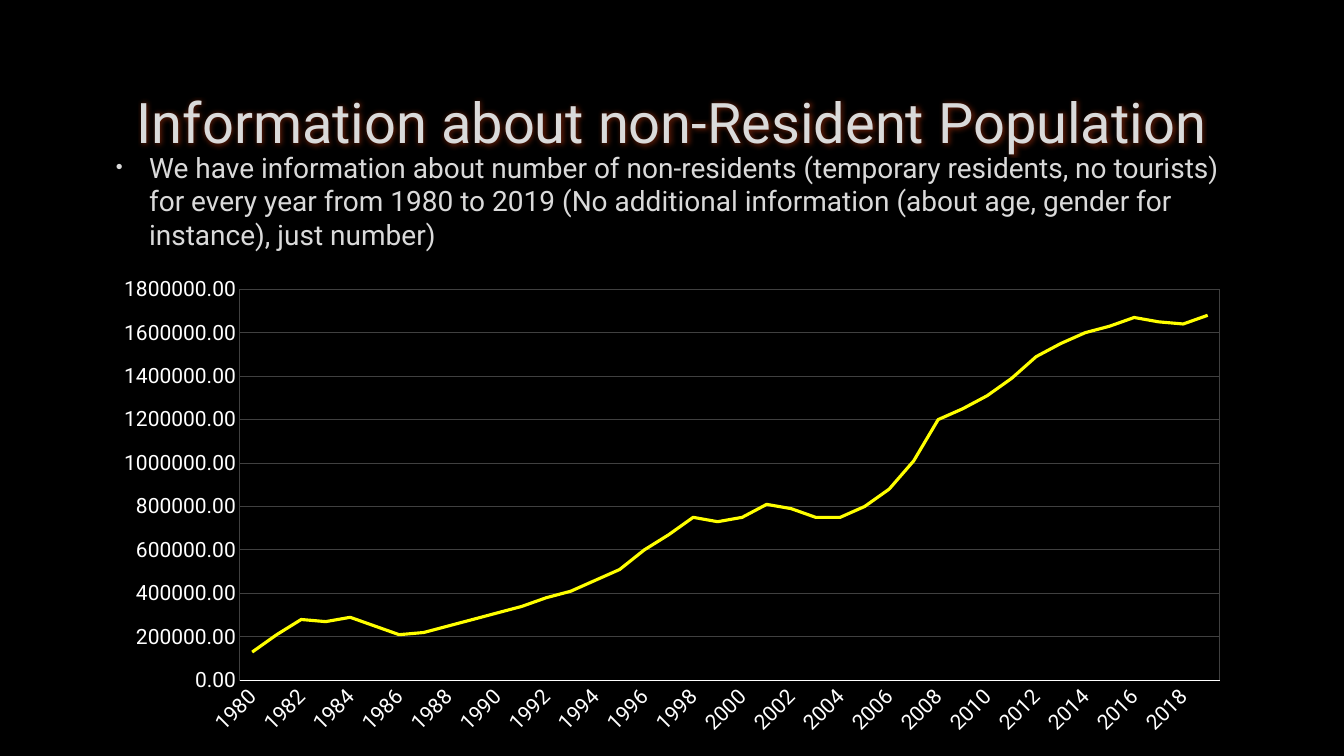
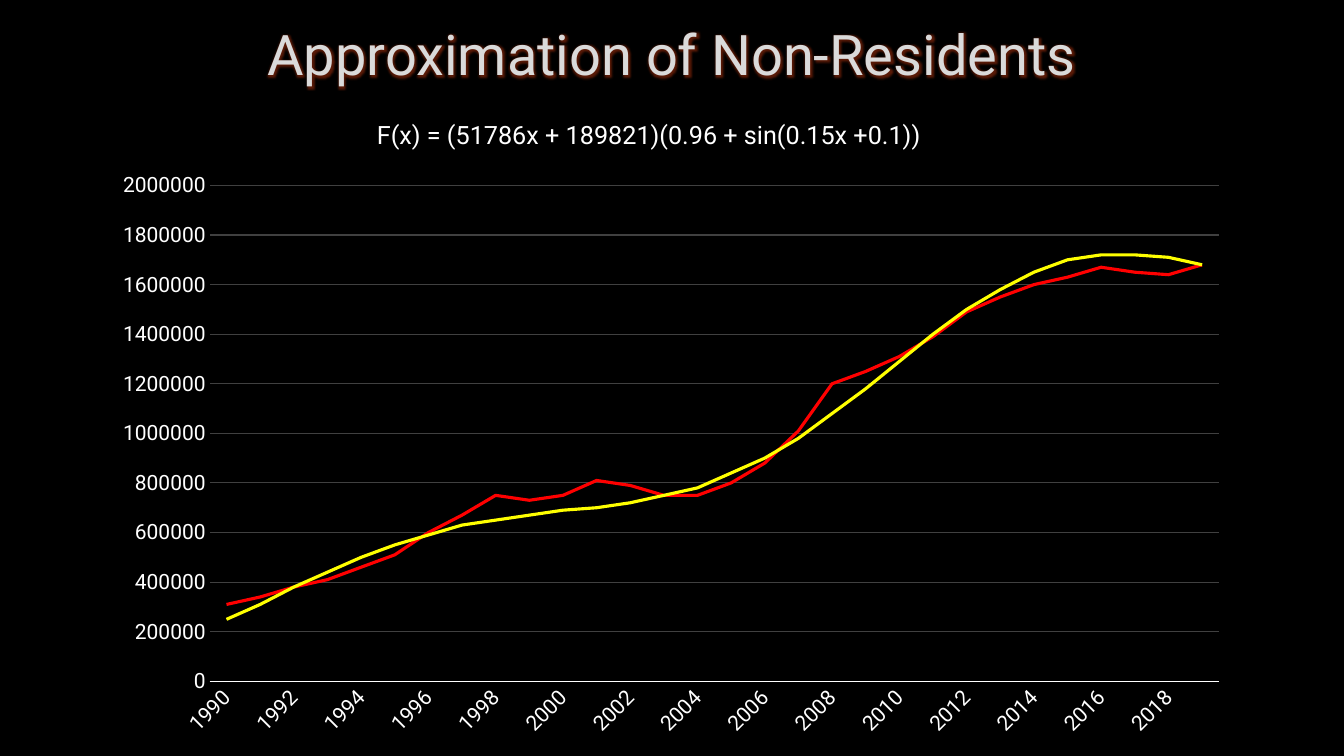
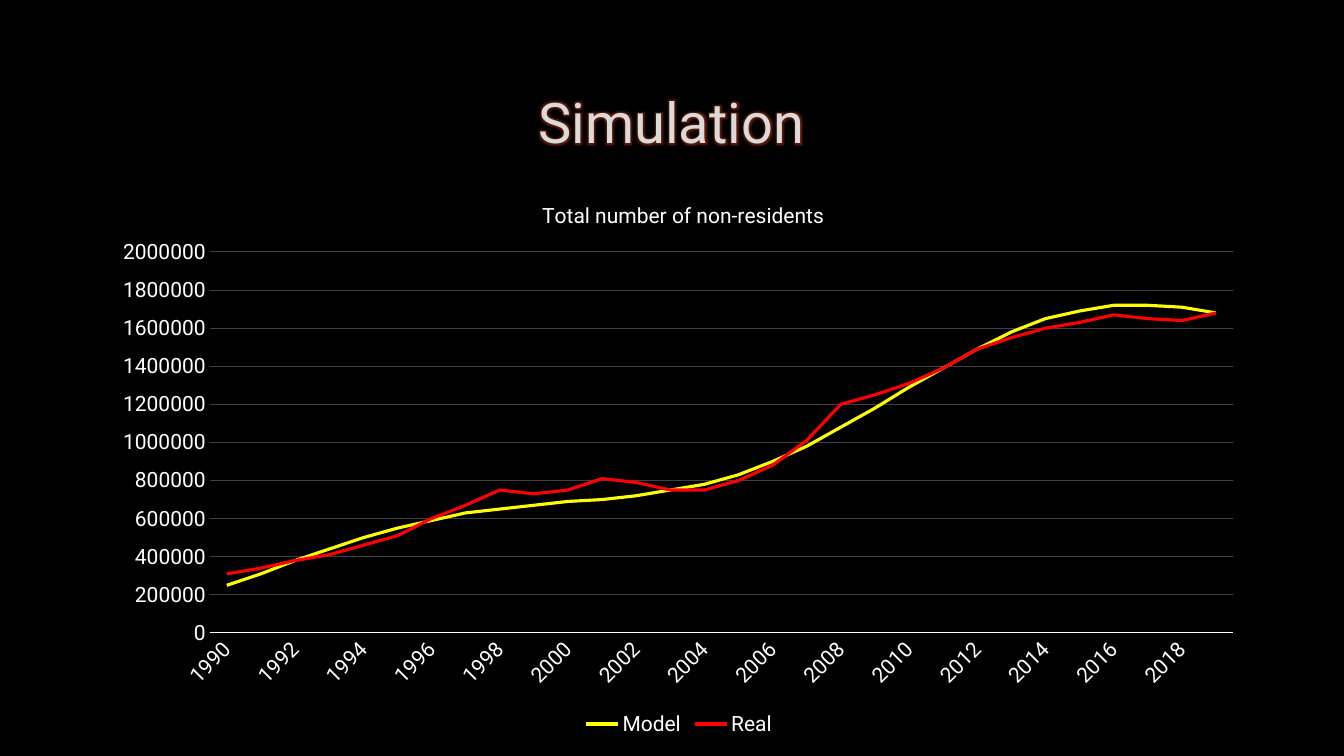
from lxml import etree
from pptx import Presentation
from pptx.chart.data import CategoryChartData
from pptx.dml.color import RGBColor
from pptx.enum.chart import XL_CHART_TYPE as ChartType
from pptx.enum.chart import XL_LEGEND_POSITION as LegendPos
from pptx.enum.chart import XL_TICK_MARK as TickMark
from pptx.enum.text import MSO_ANCHOR as Anchor
from pptx.enum.text import PP_ALIGN as Align
from pptx.oxml import parse_xml
from pptx.oxml.ns import nsdecls, qn
from pptx.util import Inches, Pt

FONT = "Roboto"
BLACK, WHITE, TEXT, GRID = "000000", "FFFFFF", "DADADA", "404040"
GLOW, YELLOW, RED = "E04010", "FFFF00", "FF0000"
LEFT, WIDTH = 1, 11.32

# Non-residents in thousands, 1980 to 2019
REAL = [130, 210, 280, 270, 290, 250, 210, 220, 250, 280,
        310, 340, 380, 410, 460, 510, 600, 670, 750, 730,
        750, 810, 790, 750, 750, 800, 880, 1010, 1200, 1250,
        1310, 1390, 1490, 1550, 1600, 1630, 1670, 1650, 1640, 1680]
# Fitted and simulated values in thousands, 1990 to 2019
FITTED = [250, 310, 380, 440, 500, 550, 590, 630, 650, 670,
          690, 700, 720, 750, 780, 840, 900, 980, 1080, 1180,
          1290, 1400, 1500, 1580, 1650, 1700, 1720, 1720, 1710, 1680]
SIMULATED = [250, 310, 380, 440, 500, 550, 590, 630, 650, 670,
             690, 700, 720, 750, 780, 830, 900, 980, 1080, 1180,
             1290, 1390, 1490, 1580, 1650, 1690, 1720, 1720, 1710, 1680]
RECENT = REAL[10:]


def rgb(value):
    return RGBColor.from_string(value)


def style_font(font, size, color):
    font.size, font.name = Pt(size), FONT
    font.color.rgb = rgb(color)


def manual_layout(frame, place, inner=False):
    """Place a chart part, given in slide inches, as fractions of the chart."""
    left, top, width, height = frame
    parts = {"xMode": "edge", "yMode": "edge",
             "x": (place[0] - left) / width, "y": (place[1] - top) / height}
    if inner:
        parts = {"layoutTarget": "inner", **parts,
                 "w": place[2] / width, "h": place[3] / height}
    layout = etree.Element(qn("c:layout"))
    manual = etree.SubElement(layout, qn("c:manualLayout"))
    for tag, value in parts.items():
        text = value if isinstance(value, str) else f"{value:.4f}"
        etree.SubElement(manual, qn(f"c:{tag}")).set("val", text)
    return layout


class Deck:
    def __init__(self):
        self.prs = Presentation()
        self.prs.slide_width, self.prs.slide_height = Inches(13.33), Inches(7.5)
        background = self.prs.slide_master.background.fill
        background.solid()
        background.fore_color.rgb = rgb(BLACK)
        self.slide = None

    def new_slide(self, heading, top=0.67):
        self.slide = self.prs.slides.add_slide(self.prs.slide_layouts[5])
        title = self.slide.shapes.title
        title.left, title.top = Inches(LEFT), Inches(top)
        title.width, title.height = Inches(WIDTH), Inches(1.06)
        title.text_frame.text = heading
        title.text_frame.vertical_anchor = Anchor.MIDDLE
        paragraph = title.text_frame.paragraphs[0]
        paragraph.alignment = Align.CENTER
        run = paragraph.runs[0]
        style_font(run.font, 40, TEXT)
        # Glow follows the fill in the run properties
        run.font.fill._xPr.find(qn("a:solidFill")).addnext(parse_xml(
            f'<a:effectLst {nsdecls("a")}><a:glow rad="63500"><a:srgbClr val="{GLOW}">'
            '<a:alpha val="40000"/></a:srgbClr></a:glow></a:effectLst>'))

    def text(self, words, left, top, width, height, size, color):
        box = self.slide.shapes.add_textbox(
            Inches(left), Inches(top), Inches(width), Inches(height))
        box.text_frame.word_wrap = True
        paragraph = box.text_frame.paragraphs[0]
        paragraph.text = words
        style_font(paragraph.runs[0].font, size, color)
        return paragraph

    def bullet(self, words, *place):
        paragraph = self.text(words, *place, 20, TEXT)
        paragraph.space_after = Pt(6)
        props = paragraph._p.get_or_add_pPr()
        props.set("marL", str(Inches(0.38)))
        props.set("indent", str(Inches(-0.33)))
        etree.SubElement(props, qn("a:buSzPct")).set("val", "70000")
        etree.SubElement(props, qn("a:buFont")).set("typeface", "Arial")
        etree.SubElement(props, qn("a:buChar")).set("char", "•")

    def line_chart(self, frame, plot, first_year, series, top_value,
                   number_format="General"):
        data = CategoryChartData(number_format=number_format)
        count = len(series[0][1])
        data.categories = [str(first_year + i) for i in range(count)]
        for name, thousands, _ in series:
            data.add_series(name, [value * 1000 for value in thousands])
        chart = self.slide.shapes.add_chart(
            ChartType.LINE, *map(Inches, frame), data).chart
        style_font(chart.font, 10, WHITE)
        chart.has_title = chart.has_legend = False

        for line, (_, _, color) in zip(chart.plots[0].series, series):
            line.smooth = False
            line.format.line.width = Pt(2.25)
            line.format.line.color.rgb = rgb(color)
        chart.plots[0].vary_by_categories = False

        # Axes
        years, amounts = chart.category_axis, chart.value_axis
        for axis in (years, amounts):
            axis.major_tick_mark = axis.minor_tick_mark = TickMark.NONE
            style_font(axis.tick_labels.font, 15, WHITE)
        years.format.line.color.rgb = rgb(WHITE)
        years.format.line.width = Pt(0.75)
        axis_xml = years._element
        axis_xml.find(qn("c:txPr")).find(qn("a:bodyPr")).set("rot", "-2700000")
        skip = etree.Element(qn("c:tickLblSkip"))
        skip.set("val", "2")
        axis_xml.find(qn("c:noMultiLvlLbl")).addprevious(skip)
        amounts.minimum_scale, amounts.maximum_scale = 0, top_value
        amounts.major_unit = 200000
        amounts.format.line.fill.background()
        amounts.has_major_gridlines = True
        amounts.major_gridlines.format.line.color.rgb = rgb(GRID)
        amounts.major_gridlines.format.line.width = Pt(0.75)
        amounts.tick_labels.number_format = number_format
        amounts.tick_labels.number_format_is_linked = False

        # Plot area
        area = chart._chartSpace.chart.plotArea
        for old in area.findall(qn("c:layout")):
            area.remove(old)
        area.insert(0, manual_layout(frame, plot, inner=True))
        return chart

    def plot_border(self, chart):
        chart._chartSpace.chart.plotArea.append(parse_xml(
            f'<c:spPr {nsdecls("c", "a")}><a:noFill/><a:ln w="9525"><a:solidFill>'
            f'<a:srgbClr val="{GRID}"/></a:solidFill></a:ln></c:spPr>'))

    def chart_title(self, chart, words, frame, place):
        chart.has_title = True
        title = chart.chart_title
        title.include_in_layout = False
        title.text_frame.text = words
        run = title.text_frame.paragraphs[0].runs[0]
        style_font(run.font, 15, WHITE)
        run.font.bold = False
        title_xml = title._element
        for old in title_xml.findall(qn("c:layout")):
            title_xml.remove(old)
        title_xml.find(qn("c:tx")).addnext(manual_layout(frame, place))

    def legend(self, chart):
        chart.has_legend = True
        chart.legend.position = LegendPos.BOTTOM
        chart.legend.include_in_layout = False
        style_font(chart.legend.font, 15, WHITE)


def main():
    deck = Deck()

    # Observed population
    deck.new_slide("Information about non-Resident Population")
    deck.bullet("We have information about number of non-residents (temporary "
                "residents, no tourists) for every year from 1980 to 2019 (No "
                "additional information (about age, gender for instance), just number)",
                LEFT, 1.44, WIDTH, 1.15)
    observed = deck.line_chart(
        (LEFT, 2.65, WIDTH, 4.74), (2.38, 2.87, 9.72, 3.88), 1980,
        [("Series 1", REAL, YELLOW)], 1800000, "0.00")
    deck.plot_border(observed)

    # Fitted curve
    deck.new_slide("Approximation of Non-Residents", top=0)
    deck.line_chart(
        (LEFT, 1.6, WIDTH, 5.83), (2.08, 1.84, 10.01, 4.92), 1990,
        [("Series 1", RECENT, RED), ("Series 2", FITTED, YELLOW)], 2000000)
    deck.text("F(x) = (51786x + 189821)(0.96 + sin(0.15x +0.1))",
              3.64, 1.13, 5.84, 0.4, 18, WHITE)

    # Simulation against reality
    deck.new_slide("Simulation")
    frame = (LEFT, 1.73, 11.47, 5.62)
    simulation = deck.line_chart(
        frame, (2.08, 2.5, 10.15, 3.78), 1990,
        [("Model", SIMULATED, YELLOW), ("Real", RECENT, RED)], 2000000)
    deck.chart_title(simulation, "Total number of non-residents", frame, (5.34, 1.96))
    deck.legend(simulation)

    deck.prs.save("out.pptx")


if __name__ == "__main__":
    main()
